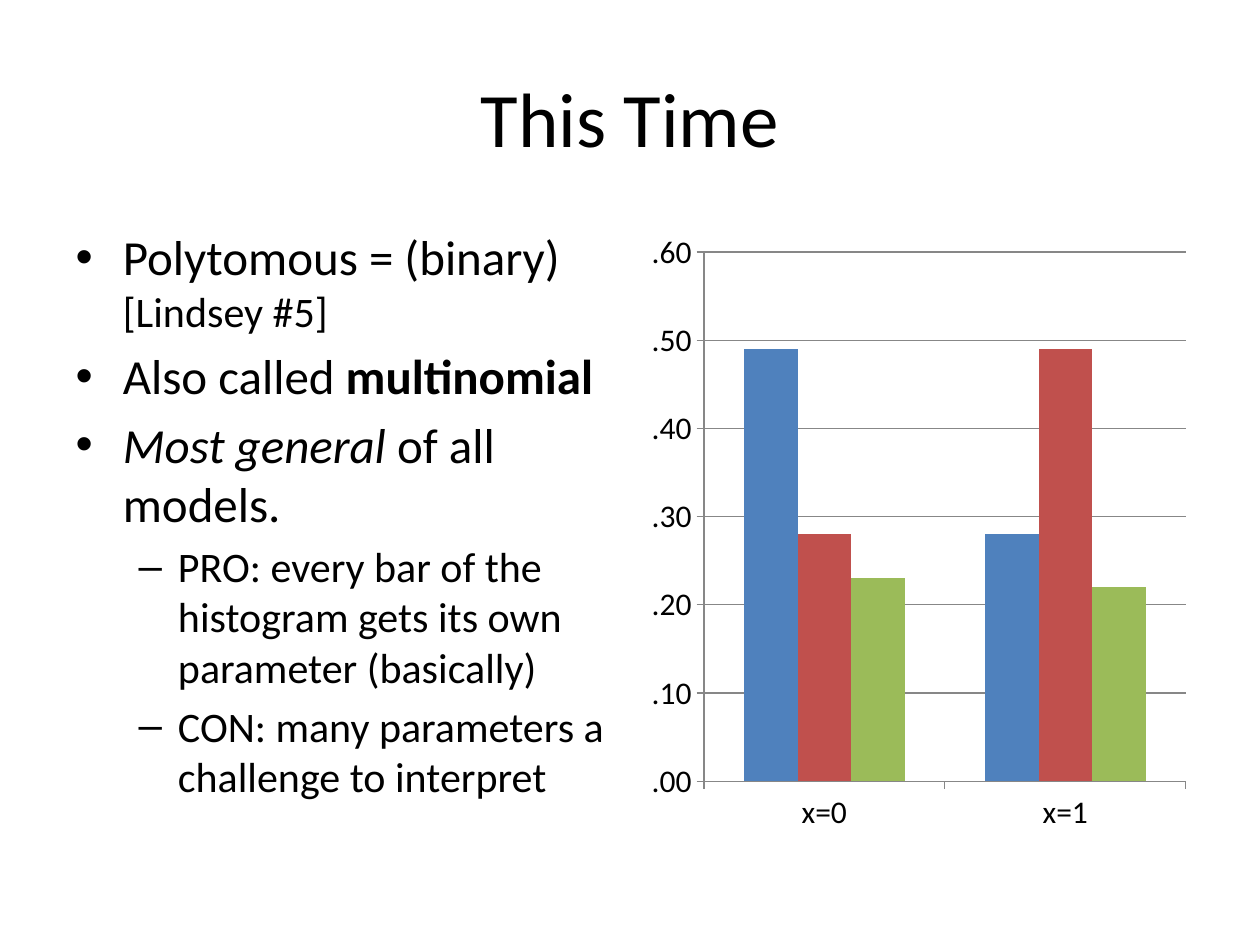
"""Build the slide on polytomous models with a list and a column chart."""
from dataclasses import dataclass

from pptx import Presentation as Deck
from pptx.chart.data import CategoryChartData as Data
from pptx.dml.color import RGBColor as Rgb
from pptx.enum.chart import XL_CHART_TYPE as Kind, XL_TICK_MARK as Tick
from pptx.enum.text import MSO_ANCHOR as Anchor, MSO_AUTO_SIZE as Fit, PP_ALIGN as Align
from pptx.util import Pt


@dataclass(frozen=True)
class Theme:
    face: str = "Calibri"
    ink: str = "000000"
    rule: str = "878787"
    bars: tuple = ("4F81BD", "C0504D", "9BBB59")
    head: int = 44
    item: int = 28
    sub: int = 24
    axis: int = 18


LOOK = Theme()
HEAD = (36, 21.6, 648, 90)
LIST = (36, 126, 318, 356.4)
PLOT = (366, 126, 318, 356.4)
ITEMS = [
    (0, [("Polytomous = (binary) ", {}), ("[Lindsey #5]", {"size": Pt(LOOK.sub)})]),
    (0, [("Also called ", {}), ("multinomial", {"bold": True})]),
    (0, [("Most general", {"italic": True}), (" of all models.", {})]),
    (1, [("PRO: every bar of the histogram gets its own parameter (basically)", {})]),
    (1, [("CON: many parameters a challenge to interpret", {})]),
]
CATS = ("x=0", "x=1")
VALS = {
    "Series 1": (0.49, 0.28),
    "Series 2": (0.28, 0.49),
    "Series 3": (0.23, 0.22),
}


def apply(obj, vals):
    for key, val in vals.items():
        setattr(obj, key, val)


def style(font, size, **more):
    apply(font, {"name": LOOK.face, "size": Pt(size), **more})
    font.color.rgb = Rgb.from_string(LOOK.ink)


def place(shape, box):
    apply(shape, dict(zip(("left", "top", "width", "height"), map(Pt, box))))


def write(para, runs, size):
    for text, more in runs:
        run = para.add_run()
        run.text = text
        style(run.font, size)
        apply(run.font, more)


def title(shape, text):
    place(shape, HEAD)
    frame = shape.text_frame
    apply(frame, {"vertical_anchor": Anchor.MIDDLE, "auto_size": Fit.NONE})
    para = frame.paragraphs[0]
    para.alignment = Align.CENTER
    write(para, [(text, {})], LOOK.head)


def bullets(shape, items):
    place(shape, LIST)
    frame = shape.text_frame
    frame.auto_size = Fit.NONE
    for num, (level, runs) in enumerate(items):
        para = frame.add_paragraph() if num else frame.paragraphs[0]
        para.level = level
        write(para, runs, LOOK.sub if level else LOOK.item)


def stroke(part):
    part.format.line.color.rgb = Rgb.from_string(LOOK.rule)
    part.format.line.width = Pt(0.75)


def columns(slide):
    data = Data(number_format=".00")
    data.categories = CATS
    for name, vals in VALS.items():
        data.add_series(name, vals)
    chart = slide.shapes.add_chart(Kind.COLUMN_CLUSTERED, *map(Pt, PLOT), data).chart
    apply(chart, {"has_legend": False, "has_title": False})
    style(chart.font, LOOK.axis)
    plot = chart.plots[0]
    apply(plot, {"gap_width": 150, "overlap": 0, "vary_by_categories": False})
    for bar, tone in zip(plot.series, LOOK.bars):
        bar.format.fill.solid()
        bar.format.fill.fore_color.rgb = Rgb.from_string(tone)
    for axis in (chart.category_axis, chart.value_axis):
        apply(axis, {"major_tick_mark": Tick.OUTSIDE, "minor_tick_mark": Tick.NONE})
        stroke(axis)
    scale = chart.value_axis
    apply(scale, {"minimum_scale": 0, "maximum_scale": 0.6, "major_unit": 0.1,
                  "has_major_gridlines": True})
    apply(scale.tick_labels, {"number_format": ".00", "number_format_is_linked": False})
    stroke(scale.major_gridlines)


def main():
    deck = Deck()
    apply(deck, {"slide_width": Pt(720), "slide_height": Pt(540)})
    slide = deck.slides.add_slide(deck.slide_layouts[1])
    title(slide.shapes.title, "This Time")
    bullets(slide.placeholders[1], ITEMS)
    columns(slide)
    deck.save("out.pptx")


main()
